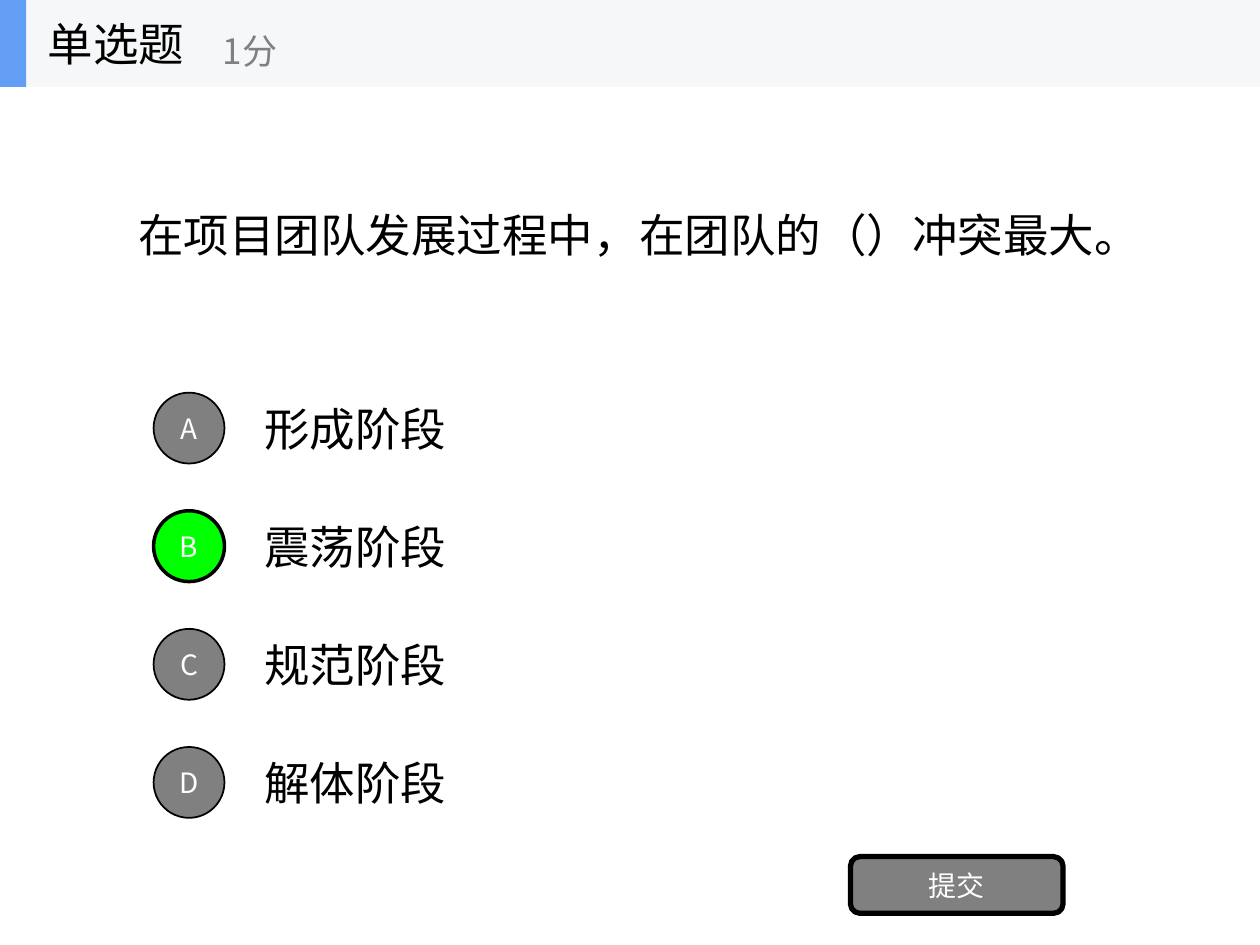
from lxml import etree
from pptx import Presentation
from pptx.dml.color import RGBColor
from pptx.enum.shapes import MSO_SHAPE
from pptx.enum.text import MSO_ANCHOR, PP_ALIGN
from pptx.oxml.ns import qn
from pptx.util import Pt

RECT, OVAL, ROUNDED = MSO_SHAPE.RECTANGLE, MSO_SHAPE.OVAL, MSO_SHAPE.ROUNDED_RECTANGLE
LEFT, CENTER = PP_ALIGN.LEFT, PP_ALIGN.CENTER
FONT = "Noto Sans CJK SC"
BLACK, GRAY, WHITE, GREEN = "000000", "808080", "FFFFFF", "00FF00"
PALE, BLUE = "F6F7F8", "639EF4"

QUESTION = "在项目团队发展过程中，在团队的（）冲突最大。"
OPTIONS = [("A", "形成阶段"), ("B", "震荡阶段"), ("C", "规范阶段"), ("D", "解体阶段")]
ANSWER = "B"
HEADING, SCORE, SUBMIT = "单选题", "1分", "提交"

WIDTH, HEIGHT = 720, 540
HEADER_H = 49.7
OPTION_TOP, OPTION_PITCH, OPTION_H = 219.4, 67.5, 50.4
CIRCLE = 40.5


def rgb(value):
    return RGBColor.from_string(value)


def set_text(shape, text, size, color, align):
    tf = shape.text_frame
    tf.word_wrap = True
    tf.vertical_anchor = MSO_ANCHOR.MIDDLE
    p = tf.paragraphs[0]
    p.text = text
    p.alignment = align
    p.font.size = Pt(size)
    p.font.name = FONT
    p.font.color.rgb = rgb(color)
    # Chinese characters take their typeface from a:ea
    etree.SubElement(p._p.pPr.find(qn("a:defRPr")), qn("a:ea"), typeface=FONT)


def add_text(s, box, text, size=26, color=BLACK):
    set_text(s.shapes.add_textbox(*map(Pt, box)), text, size, color, LEFT)


def add_shape(s, kind, box, fill, line=0, text=""):
    sp = s.shapes.add_shape(kind, *map(Pt, box))
    sp.shadow.inherit = False
    sp.fill.solid()
    sp.fill.fore_color.rgb = rgb(fill)
    if line:
        sp.line.color.rgb = rgb(BLACK)
        sp.line.width = Pt(line)
    else:
        sp.line.fill.background()
    if text:
        set_text(sp, text, 16, WHITE, CENTER)


def main():
    prs = Presentation()
    prs.slide_width, prs.slide_height = Pt(WIDTH), Pt(HEIGHT)
    s = prs.slides.add_slide(prs.slide_layouts[6])

    add_text(s, (72, HEADER_H, 576, 168.5), QUESTION)

    for i, (letter, label) in enumerate(OPTIONS):
        top = OPTION_TOP + i * OPTION_PITCH
        add_text(s, (144, top, 504, OPTION_H), label)
        fill, line = (GREEN, 2) if letter == ANSWER else (GRAY, 1)
        circle_top = top + (OPTION_H - CIRCLE) / 2
        add_shape(s, OVAL, (87.75, circle_top, CIRCLE, CIRCLE), fill, line, letter)

    add_shape(s, ROUNDED, (486, 489.5, 121.5, 32.4), GRAY, 3, SUBMIT)

    add_shape(s, RECT, (0, 0, WIDTH, HEADER_H), PALE)
    add_shape(s, RECT, (0, 0, 15, HEADER_H), BLUE)
    add_text(s, (20.2, 0, 150, HEADER_H), HEADING)
    add_text(s, (120.2, 8.6, 180, 40.3), SCORE, 20, GRAY)

    prs.save("out.pptx")


if __name__ == "__main__":
    main()
